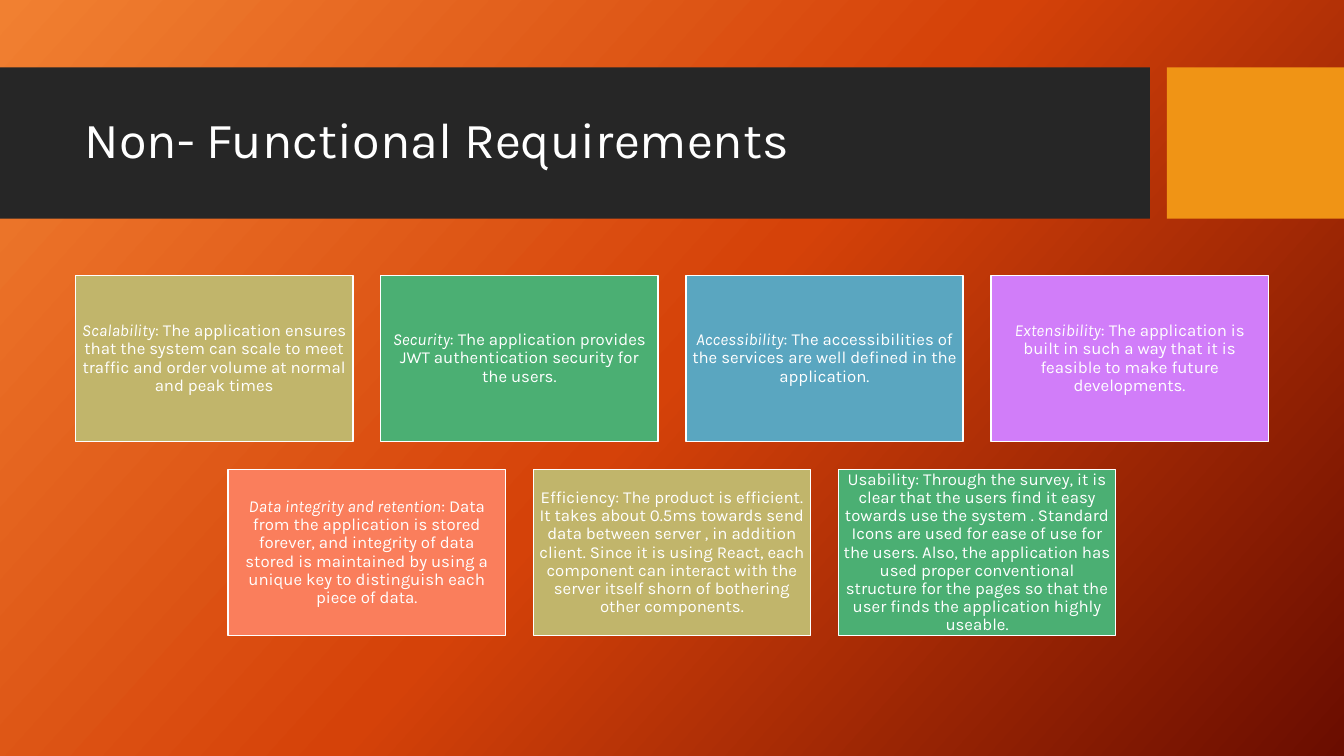
from lxml import etree
from pptx import Presentation
from pptx import util as u
from pptx.dml.color import RGBColor
from pptx.enum import shapes, text
from pptx.oxml.ns import qn

# Content
FONT = "Karla"
COLORS = {
    "white": "FFFFFF", "band": "262626", "accent": "F09415",
    "sand": "C1B56B", "green": "4BAF73", "blue": "5AA6C0",
    "violet": "D17DF9", "coral": "FA7E5C",
}
GRADIENT = [(0, "F18031"), (50, "D54209"), (100, "6A0D00")]
TITLE = "Non- Functional Requirements"
# Each card: colour, italic lead, remaining text
ROWS = [
    [
        ("sand", "Scalability", ": The application ensures that the system can scale to meet "
         "traffic and order volume at normal and peak times"),
        ("green", "Security", ": The application provides JWT authentication security "
         "for the users."),
        ("blue", "Accessibility", ": The accessibilities of the services are well defined "
         "in the application."),
        ("violet", "Extensibility", ": The application is built in such a way that it is "
         "feasible to make future developments."),
    ],
    [
        ("coral", "Data integrity and retention", ": Data from the application is stored "
         "forever, and integrity of data stored is maintained by using a unique key to "
         "distinguish each piece of data."),
        ("sand", "", "Efficiency: The product is efficient. It takes about 0.5ms towards "
         "send data between server , in addition client. Since it is using React, each "
         "component can interact with the server itself shorn of bothering other components."),
        ("green", "", "Usability: Through the survey, it is clear that the users find it easy "
         "towards use the system . Standard Icons are used for ease of use for the users. "
         "Also, the application has used proper conventional structure for the pages so that "
         "the user finds the application highly useable."),
    ],
]

# Measures in centimetres
SLIDE_WIDTH, SLIDE_HEIGHT = 33.87, 19.05
BAND_TOP, BAND_HEIGHT = 1.7, 3.81
BANDS = [(0, 28.98, "band"), (29.41, 4.46, "accent")]
CARD_WIDTH, CARD_HEIGHT, GAP, CARDS_TOP = 6.99, 4.19, 0.7, 6.94


def color(name):
    return RGBColor.from_string(COLORS[name])


def add_box(slide, left, top, width, height, fill):
    shape = slide.shapes.add_shape(
        shapes.MSO_SHAPE.RECTANGLE, u.Cm(left), u.Cm(top), u.Cm(width), u.Cm(height))
    shape.shadow.inherit = False
    shape.fill.solid()
    shape.fill.fore_color.rgb = color(fill)
    shape.line.fill.background()
    return shape


def format_paragraph(paragraph, size, align):
    paragraph.alignment = align
    paragraph.line_spacing = 0.9
    paragraph.font.name = FONT
    paragraph.font.size = u.Pt(size)
    paragraph.font.color.rgb = color("white")


def set_background(slide):
    fill = slide.background.fill
    fill.gradient()
    fill.gradient_angle = 360 - 42
    stops = next(slide.element.iter(qn("a:gsLst")))
    for stop in list(stops):
        stops.remove(stop)
    for position, value in GRADIENT:
        stop = etree.SubElement(stops, qn("a:gs"), pos=str(position * 1000))
        etree.SubElement(stop, qn("a:srgbClr"), val=value)


def add_header(slide):
    # Bands go behind the title
    title = slide.shapes.title
    for left, width, fill in BANDS:
        band = add_box(slide, left, BAND_TOP, width, BAND_HEIGHT, fill)
        title.element.addprevious(band.element)
    title.left, title.top = u.Cm(1.88), u.Cm(2.08)
    title.width, title.height = u.Cm(26.7), u.Cm(3)
    frame = title.text_frame
    frame.text = TITLE
    frame.word_wrap = True
    frame.auto_size = text.MSO_AUTO_SIZE.NONE
    frame.vertical_anchor = text.MSO_ANCHOR.MIDDLE
    format_paragraph(frame.paragraphs[0], 36, text.PP_ALIGN.LEFT)


def add_card(slide, left, top, fill, lead, body):
    card = add_box(slide, left, top, CARD_WIDTH, CARD_HEIGHT, fill)
    card.line.color.rgb = color("white")
    card.line.width = u.Pt(1)
    frame = card.text_frame
    frame.word_wrap = True
    frame.vertical_anchor = text.MSO_ANCHOR.MIDDLE
    frame.margin_left = frame.margin_right = u.Cm(0.13)
    frame.margin_top = frame.margin_bottom = u.Cm(0.13)
    paragraph = frame.paragraphs[0]
    format_paragraph(paragraph, 12, text.PP_ALIGN.CENTER)
    paragraph.space_after = u.Pt(4.2)
    if lead:
        run = paragraph.add_run()
        run.text = lead
        run.font.italic = True
    paragraph.add_run().text = body


def main():
    presentation = Presentation()
    presentation.slide_width = u.Cm(SLIDE_WIDTH)
    presentation.slide_height = u.Cm(SLIDE_HEIGHT)
    slide = presentation.slides.add_slide(presentation.slide_layouts[5])
    set_background(slide)
    add_header(slide)

    # Each row of cards is centred on the slide
    for row, cards in enumerate(ROWS):
        row_width = len(cards) * (CARD_WIDTH + GAP) - GAP
        start = (SLIDE_WIDTH - row_width) / 2
        top = CARDS_TOP + row * (CARD_HEIGHT + GAP)
        for column, card in enumerate(cards):
            add_card(slide, start + column * (CARD_WIDTH + GAP), top, *card)

    presentation.save("out.pptx")


if __name__ == "__main__":
    main()
